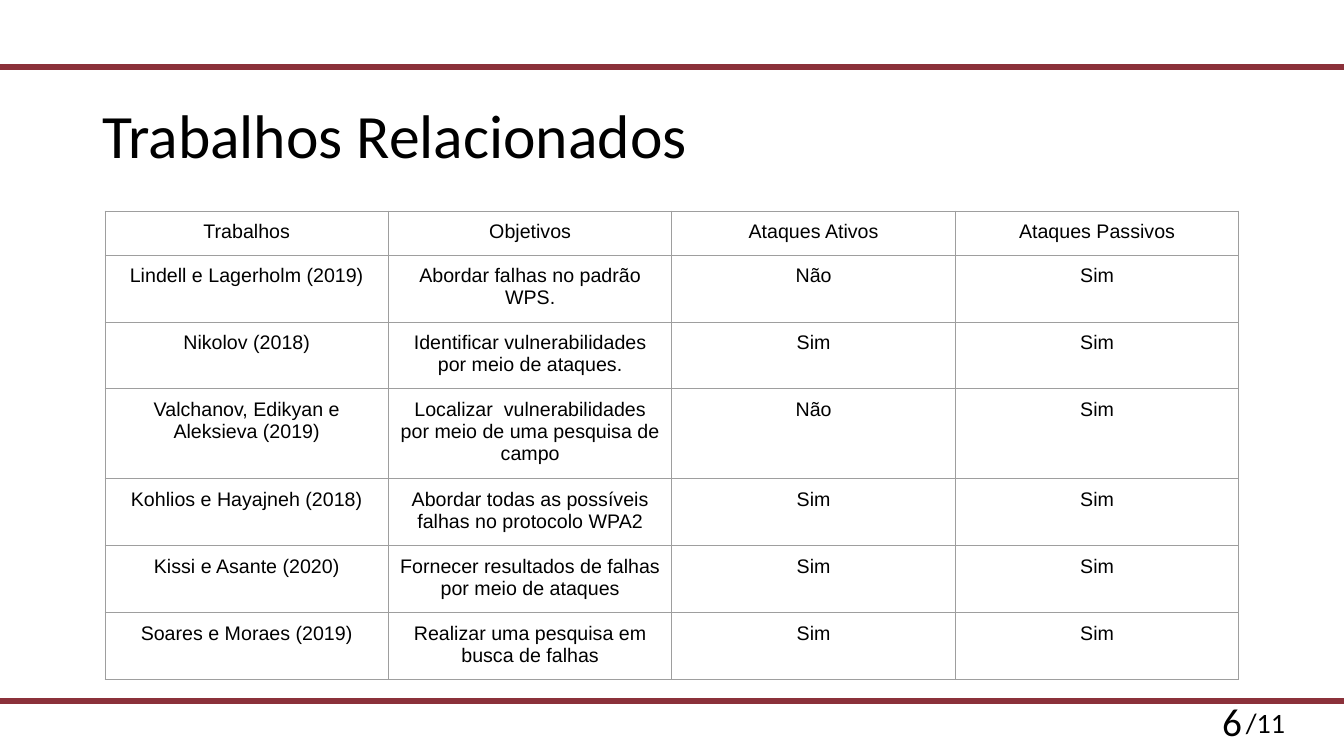
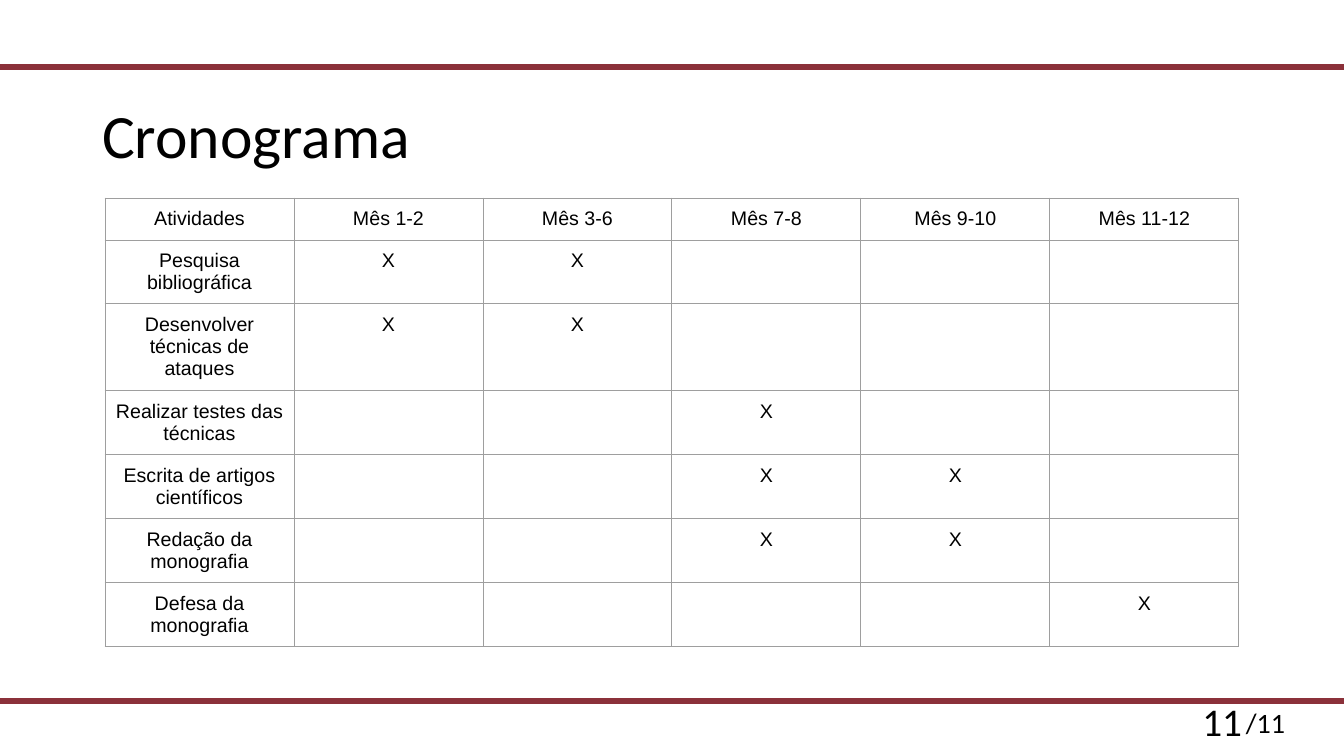
import dataclasses

import lxml.etree
import pptx
import pptx.dml.color
import pptx.enum.shapes
import pptx.enum.text
import pptx.oxml.ns
import pptx.util

EMU_PER_PX = 12192000 / 1344
ALIGN = pptx.enum.text.PP_ALIGN
ANCHOR = pptx.enum.text.MSO_ANCHOR


@dataclasses.dataclass(frozen=True)
class Theme:
    """Colours, fonts and type sizes shared by the slides."""

    band: str = "8B313A"
    grid: str = "9E9E9E"
    ink: str = "000000"
    heading_font: str = "Calibri"
    table_font: str = "Arial"
    title_size: int = 44
    number_size: int = 28
    total_size: int = 20
    table_size: int = 14
    band_width: float = 4.5
    grid_width: float = 0.75


THEME = Theme()
SLIDE_WIDTH, SLIDE_HEIGHT = 1344, 756
TOP_BAND, BOTTOM_BAND = 67, 701
TABLE_LEFT, TABLE_WIDTH = 105, 1134
CELL_MARGIN, CELL_MARGIN_BOTTOM = 10, 6
TOTAL_PAGES = 11

RELATED_WORK = [
    ["Trabalhos", "Objetivos", "Ataques Ativos", "Ataques Passivos"],
    ["Lindell e Lagerholm (2019)", "Abordar falhas no padrão WPS.", "Não", "Sim"],
    ["Nikolov (2018)", "Identificar vulnerabilidades por meio de ataques.", "Sim", "Sim"],
    ["Valchanov, Edikyan e Aleksieva (2019)",
     "Localizar  vulnerabilidades por meio de uma pesquisa de campo", "Não", "Sim"],
    ["Kohlios e Hayajneh (2018)",
     "Abordar todas as possíveis falhas no protocolo WPA2", "Sim", "Sim"],
    ["Kissi e Asante (2020)", "Fornecer resultados de falhas por meio de ataques", "Sim", "Sim"],
    ["Soares e Moraes (2019)", "Realizar uma pesquisa em busca de falhas", "Sim", "Sim"],
]
RELATED_HEIGHTS = [44, 67, 67, 90, 67, 67, 67]

PERIODS = ["Mês 1-2", "Mês 3-6", "Mês 7-8", "Mês 9-10", "Mês 11-12"]
ACTIVITIES = [
    ("Pesquisa bibliográfica", {0, 1}),
    ("Desenvolver técnicas de ataques", {0, 1}),
    ("Realizar testes das técnicas", {2}),
    ("Escrita de artigos científicos", {2, 3}),
    ("Redação da monografia", {2, 3}),
    ("Defesa da monografia", {4}),
]
SCHEDULE_HEIGHTS = [42, 64, 86, 64, 64, 64, 64]


def px(length):
    """Turn pixels into EMU."""
    return pptx.util.Emu(round(length * EMU_PER_PX))


def rgb(colour):
    """Turn a hex string into a colour."""
    return pptx.dml.color.RGBColor.from_string(colour)


def style_paragraph(paragraph, font_name, size, align=ALIGN.LEFT):
    """Set the font and alignment of a whole paragraph."""
    paragraph.alignment = align
    paragraph.font.name = font_name
    paragraph.font.size = pptx.util.Pt(size)
    paragraph.font.bold = False
    paragraph.font.color.rgb = rgb(THEME.ink)


def add_title(slide, title):
    """Place and format the title placeholder."""
    heading = slide.shapes.title
    heading.left, heading.top, heading.width, heading.height = map(px, (92, 66, 1159, 146))
    frame = heading.text_frame
    frame.text = title
    frame.auto_size = pptx.enum.text.MSO_AUTO_SIZE.NONE
    frame.vertical_anchor = ANCHOR.MIDDLE
    paragraph = frame.paragraphs[0]
    paragraph.line_spacing = 0.9
    style_paragraph(paragraph, THEME.heading_font, THEME.title_size)


def add_band(slide, y):
    """Draw a rule across the full slide width."""
    band = slide.shapes.add_connector(
        pptx.enum.shapes.MSO_CONNECTOR.STRAIGHT, 0, px(y), px(SLIDE_WIDTH), px(y))
    band.line.color.rgb = rgb(THEME.band)
    band.line.width = pptx.util.Pt(THEME.band_width)
    lxml.etree.SubElement(band._element.spPr, pptx.oxml.ns.qn("a:effectLst"))


def add_label(slide, text, box, size, align, anchor):
    """Add a one-line footer label."""
    frame = slide.shapes.add_textbox(*map(px, box)).text_frame
    frame.text = text
    frame.word_wrap = True
    frame.vertical_anchor = anchor
    style_paragraph(frame.paragraphs[0], THEME.heading_font, size, align)


def border_cell(cell):
    """Give a cell a thin line on all four sides."""
    properties = cell._tc.get_or_add_tcPr()
    for position, side in enumerate(("a:lnL", "a:lnR", "a:lnT", "a:lnB")):
        edge = lxml.etree.Element(
            pptx.oxml.ns.qn(side), w=str(pptx.util.Pt(THEME.grid_width)))
        fill = lxml.etree.SubElement(edge, pptx.oxml.ns.qn("a:solidFill"))
        lxml.etree.SubElement(fill, pptx.oxml.ns.qn("a:srgbClr"), val=THEME.grid)
        properties.insert(position, edge)


def fill_cell(cell, text):
    """Write and format one table cell."""
    cell.text = text
    cell.fill.background()
    cell.vertical_anchor = ANCHOR.TOP
    cell.margin_left = cell.margin_right = cell.margin_top = px(CELL_MARGIN)
    cell.margin_bottom = px(CELL_MARGIN_BOTTOM)
    style_paragraph(cell.text_frame.paragraphs[0], THEME.table_font,
                    THEME.table_size, ALIGN.CENTER)
    border_cell(cell)


def add_grid(slide, top, rows, heights):
    """Add a bordered table with equal columns."""
    column_count = len(rows[0])
    table = slide.shapes.add_table(
        len(rows), column_count, px(TABLE_LEFT), px(top),
        px(TABLE_WIDTH), px(sum(heights))).table
    table.first_row = table.horz_banding = False
    for column in table.columns:
        column.width = px(TABLE_WIDTH) // column_count
    for row, height, texts in zip(table.rows, heights, rows):
        row.height = px(height)
        for cell, text in zip(row.cells, texts):
            fill_cell(cell, text)


def add_page(deck, title, number):
    """Add a slide with its title, bands and page number."""
    slide = deck.slides.add_slide(deck.slide_layouts[5])
    add_title(slide, title)
    for y in (TOP_BAND, BOTTOM_BAND):
        add_band(slide, y)
    add_label(slide, f"/{TOTAL_PAGES}", (1236, 701, 90, 44), THEME.total_size,
              ALIGN.LEFT, ANCHOR.TOP)
    add_label(slide, str(number), (950, 701, 302, 40), THEME.number_size,
              ALIGN.RIGHT, ANCHOR.MIDDLE)
    return slide


def schedule_rows():
    """Mark the periods in which each activity takes place."""
    marked = [
        [activity] + ["X" if index in active else "" for index in range(len(PERIODS))]
        for activity, active in ACTIVITIES
    ]
    return [["Atividades"] + PERIODS] + marked


def main():
    """Build and save the slides."""
    deck = pptx.Presentation()
    deck.slide_width, deck.slide_height = px(SLIDE_WIDTH), px(SLIDE_HEIGHT)
    related = add_page(deck, "Trabalhos Relacionados", 6)
    add_grid(related, 211, RELATED_WORK, RELATED_HEIGHTS)
    schedule = add_page(deck, "Cronograma", 11)
    add_grid(schedule, 198, schedule_rows(), SCHEDULE_HEIGHTS)
    deck.save("out.pptx")


if __name__ == "__main__":
    main()
